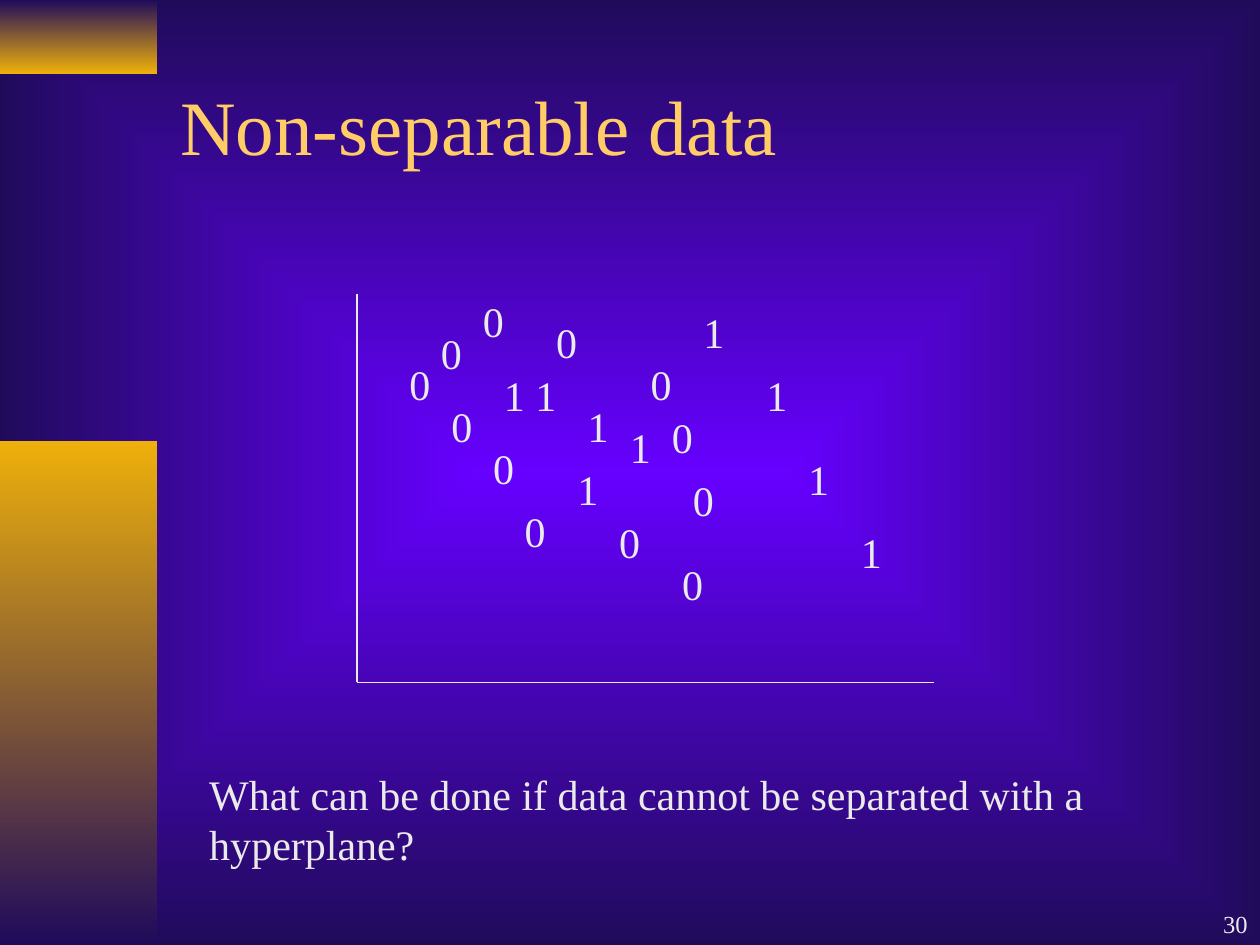
import pptx
import pptx.util
import pptx.dml.color
import pptx.enum.shapes
import pptx.enum.text
import pptx.oxml.ns
import lxml.etree

RGBColor = pptx.dml.color.RGBColor
Anchor = pptx.enum.text.MSO_ANCHOR
Align = pptx.enum.text.PP_ALIGN

VIOLET = RGBColor(0x66, 0x00, 0xFF)
NAVY = RGBColor(0x20, 0x0B, 0x5B)
GOLD = RGBColor(0xEE, 0xB0, 0x0B)
TITLE_YELLOW = RGBColor(0xFF, 0xCC, 0x66)
PALE = RGBColor(0xEA, 0xEA, 0xEA)

FONT = "Times New Roman"
CELLS_PER_INCH = 12
POINT_ORIGIN = (37.8, 27.6)
POINT_SIZE = (4.3, 6)

ZEROS = [(0, 6), (3, 3), (4, 10), (7, 0), (8, 14), (11, 20), (14, 2),
         (20, 21), (23, 6), (25, 11), (26, 25), (27, 17)]
ONES = [(9, 7), (12, 7), (16, 16), (17, 10), (21, 12), (28, 1),
        (34, 7), (38, 15), (43, 22)]


def grid(*cells):
    return [pptx.util.Inches(cell / CELLS_PER_INCH) for cell in cells]


def set_gradient(fill, first, last):
    fill.gradient()
    for stop, color in zip(fill.gradient_stops, (first, last)):
        stop.color.rgb = color


def paint_background(slide):
    set_gradient(slide.background.fill, VIOLET, NAVY)
    qn = pptx.oxml.ns.qn
    gradient = next(slide.element.iter(qn("a:gradFill")))
    gradient.remove(gradient.find(qn("a:lin")))
    center = lxml.etree.SubElement(gradient, qn("a:path"), {"path": "rect"})
    lxml.etree.SubElement(center, qn("a:fillToRect"),
                          {side: "50000" for side in "ltrb"})


def add_band(slide, top, height, first, last):
    shape = slide.shapes.add_shape(pptx.enum.shapes.MSO_SHAPE.RECTANGLE,
                                   *grid(0, top, 15, height))
    shape.shadow.inherit = False
    shape.line.fill.background()
    set_gradient(shape.fill, first, last)
    shape.fill.gradient_angle = 270


def add_axis(slide, *ends):
    axis = slide.shapes.add_connector(
        pptx.enum.shapes.MSO_CONNECTOR.STRAIGHT, *grid(*ends))
    axis.line.color.rgb = PALE
    axis.line.width = pptx.util.Pt(0.75)
    lxml.etree.SubElement(axis.element.spPr, pptx.oxml.ns.qn("a:effectLst"))


def add_text(slide, box, lines, size=24, color=PALE, anchor=Anchor.TOP,
             align=Align.LEFT, wrap=False):
    frame = slide.shapes.add_textbox(*grid(*box)).text_frame
    frame.word_wrap = wrap
    frame.vertical_anchor = anchor
    frame.text = "\n".join(lines)
    for paragraph in frame.paragraphs:
        paragraph.alignment = align
        paragraph.font.name = FONT
        paragraph.font.size = pptx.util.Pt(size)
        paragraph.font.color.rgb = color


def add_points(slide, label, points):
    left, top = POINT_ORIGIN
    for column, row in points:
        add_text(slide, (left + column, top + row, *POINT_SIZE), [label])


def main():
    presentation = pptx.Presentation()
    presentation.slide_width, presentation.slide_height = grid(120, 90)
    slide = presentation.slides.add_slide(presentation.slide_layouts[6])
    paint_background(slide)
    add_band(slide, 0, 7, NAVY, GOLD)
    add_band(slide, 42, 48, GOLD, NAVY)
    add_text(slide, (16, 4, 102, 15.8), ["Non-separable data"], size=44,
             color=TITLE_YELLOW, anchor=Anchor.MIDDLE, wrap=True)
    add_axis(slide, 34, 28, 34, 65)
    add_axis(slide, 34, 65, 89, 65)
    add_points(slide, "0", ZEROS)
    add_points(slide, "1", ONES)
    add_text(slide, (18.75, 72.6, 85.7, 10.8),
             ["What can be done if data cannot be separated with a",
              "hyperplane?"])
    add_text(slide, (95, 84, 25, 6), ["30"], size=14, anchor=Anchor.BOTTOM,
             align=Align.RIGHT, wrap=True)
    presentation.save("out.pptx")


if __name__ == "__main__":
    main()
